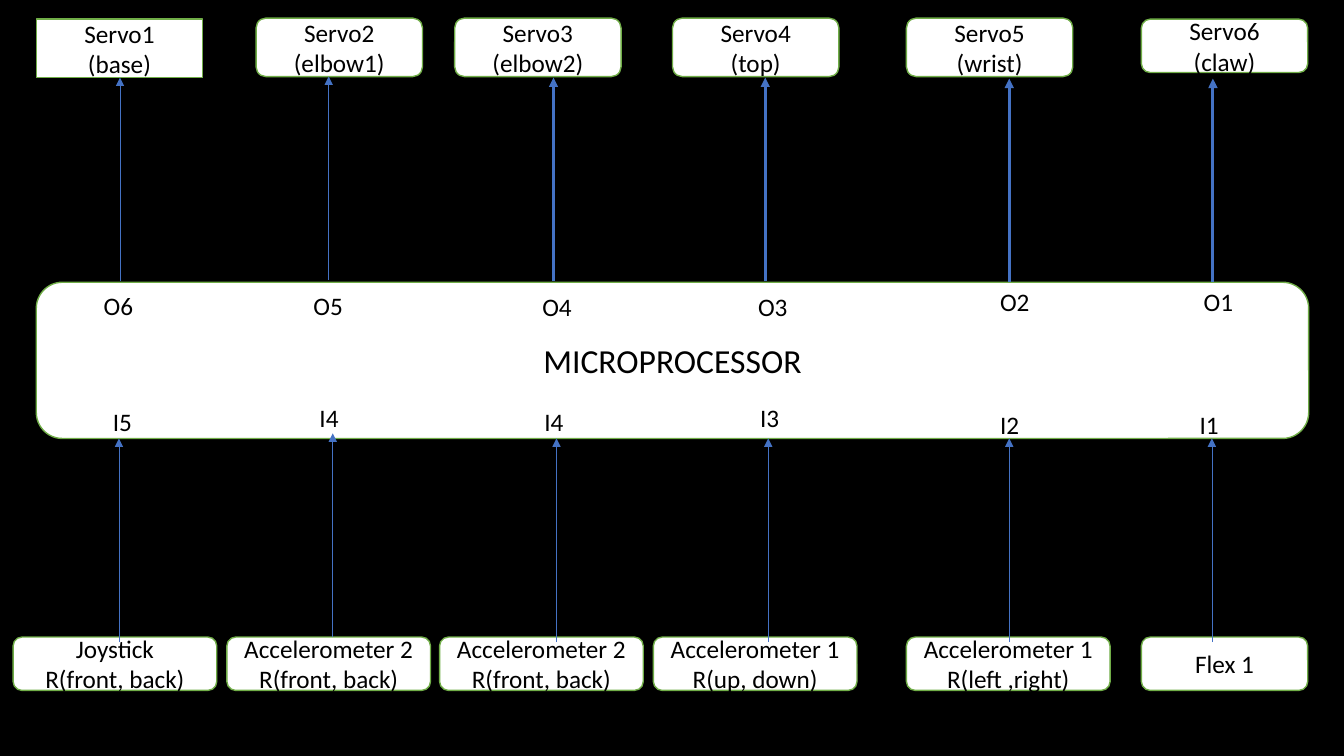
from lxml import etree
from pptx import Presentation
from pptx.dml.color import RGBColor
from pptx.enum.shapes import MSO_CONNECTOR, MSO_SHAPE
from pptx.enum.text import MSO_ANCHOR, MSO_AUTO_SIZE, PP_ALIGN
from pptx.oxml.ns import qn
from pptx.util import Inches, Pt

BLACK = RGBColor(0, 0, 0)
WHITE = RGBColor(255, 255, 255)
GREEN = RGBColor(0x70, 0xAD, 0x47)
BLUE = RGBColor(0x44, 0x72, 0xC4)

SERVO_WIDTH, SENSOR_WIDTH = 1.65, 2.02
SERVO_HEIGHT, SENSOR_HEIGHT = 0.58, 0.53
SENSOR_TOP, ARROW_LENGTH, LABEL_HEIGHT = 6.32, 2.02, 0.4
THIN, THICK = 0.5, 2.25

# text, left, top, height
servos = [
    ("Servo1\n(base)", 0.36, 0.19, SERVO_HEIGHT),
    ("Servo2\n(elbow1)", 2.54, 0.18, SERVO_HEIGHT),
    ("Servo3\n(elbow2)", 4.51, 0.18, SERVO_HEIGHT),
    ("Servo4\n(top)", 6.67, 0.18, SERVO_HEIGHT),
    ("Servo5\n(wrist)", 8.99, 0.18, SERVO_HEIGHT),
    ("Servo6\n(claw)", 11.32, 0.19, SENSOR_HEIGHT),
]
# text, left, width
sensors = [
    ("Joystick\nR(front, back)", 0.13, SENSOR_WIDTH),
    ("Accelerometer 2\nR(front, back)", 2.25, SENSOR_WIDTH),
    ("Accelerometer 2\nR(front, back)", 4.36, SENSOR_WIDTH),
    ("Accelerometer 1\nR(up, down)", 6.48, SENSOR_WIDTH),
    ("Accelerometer 1\nR(left ,right)", 8.99, SENSOR_WIDTH),
    ("Flex 1", 11.32, SERVO_WIDTH),
]
# x, start y, weight
output_arrows = [(1.19, 2.79, THIN), (3.26, 2.78, THIN), (5.49, 2.79, THICK),
                 (7.59, 2.79, THICK), (10.01, 2.8, THICK), (12.03, 2.8, THICK)]
input_arrows = [(1.18, 6.37, THIN), (3.3, 6.32, THIN), (5.52, 6.37, THIN),
                (7.62, 6.37, THIN), (10.01, 6.37, THIN), (12.02, 6.37, THIN)]
# text, left, top, width
pins = [
    ("O6", 0.93, 2.83, 0.49), ("O5", 3.01, 2.83, 0.49),
    ("O4", 5.28, 2.84, 0.49), ("O3", 7.42, 2.84, 0.49),
    ("O2", 9.82, 2.79, 0.49), ("O1", 11.84, 2.79, 0.49),
    ("I5", 1.02, 3.98, 0.62), ("I4", 3.07, 3.94, 1.52),
    ("I4", 5.3, 3.98, 0.49), ("I3", 7.44, 3.94, 0.42),
    ("I2", 9.82, 4.01, 0.54), ("I1", 11.8, 4.01, 0.54),
]

prs = Presentation()
prs.slide_width, prs.slide_height = Inches(13.33), Inches(7.5)
slide = prs.slides.add_slide(prs.slide_layouts[6])
slide.background.fill.solid()
slide.background.fill.fore_color.rgb = BLACK


def write(frame, text, size, align):
    frame.text = text
    frame.word_wrap = True
    for paragraph in frame.paragraphs:
        paragraph.alignment = align
        for run in paragraph.runs:
            run.font.name = "Calibri"
            run.font.size = Pt(size)
            run.font.color.rgb = BLACK


def add_block(text, left, top, width, height, size=18):
    block = slide.shapes.add_shape(MSO_SHAPE.ROUNDED_RECTANGLE, Inches(left), Inches(top),
                                   Inches(width), Inches(height))
    block.shadow.inherit = False
    block.fill.solid()
    block.fill.fore_color.rgb = WHITE
    block.line.color.rgb = GREEN
    block.line.width = Pt(1)
    block.text_frame.vertical_anchor = MSO_ANCHOR.MIDDLE
    write(block.text_frame, text, size, PP_ALIGN.CENTER)
    return block


def add_arrow(x, start, weight):
    arrow = slide.shapes.add_connector(MSO_CONNECTOR.STRAIGHT, Inches(x), Inches(start),
                                       Inches(x), Inches(start - ARROW_LENGTH))
    arrow.line.color.rgb = BLUE
    arrow.line.width = Pt(weight)
    etree.SubElement(arrow.line._get_or_add_ln(), qn("a:tailEnd"), type="triangle")
    etree.SubElement(arrow._element.spPr, qn("a:effectLst"))


def add_pin(text, left, top, width):
    pin = slide.shapes.add_textbox(Inches(left), Inches(top), Inches(width), Inches(LABEL_HEIGHT))
    write(pin.text_frame, text, 18, PP_ALIGN.LEFT)
    pin.text_frame.auto_size = MSO_AUTO_SIZE.SHAPE_TO_FIT_TEXT


servo_blocks = [add_block(text, left, top, SERVO_WIDTH, height)
                for text, left, top, height in servos]
servo_blocks[0].adjustments[0] = 0
for text, left, width in sensors:
    add_block(text, left, SENSOR_TOP, width, SENSOR_HEIGHT)
add_block("MICROPROCESSOR", 0.36, 2.8, 12.62, 1.55, 24)
for arrow in output_arrows + input_arrows:
    add_arrow(*arrow)
for pin in pins:
    add_pin(*pin)

prs.save("out.pptx")
